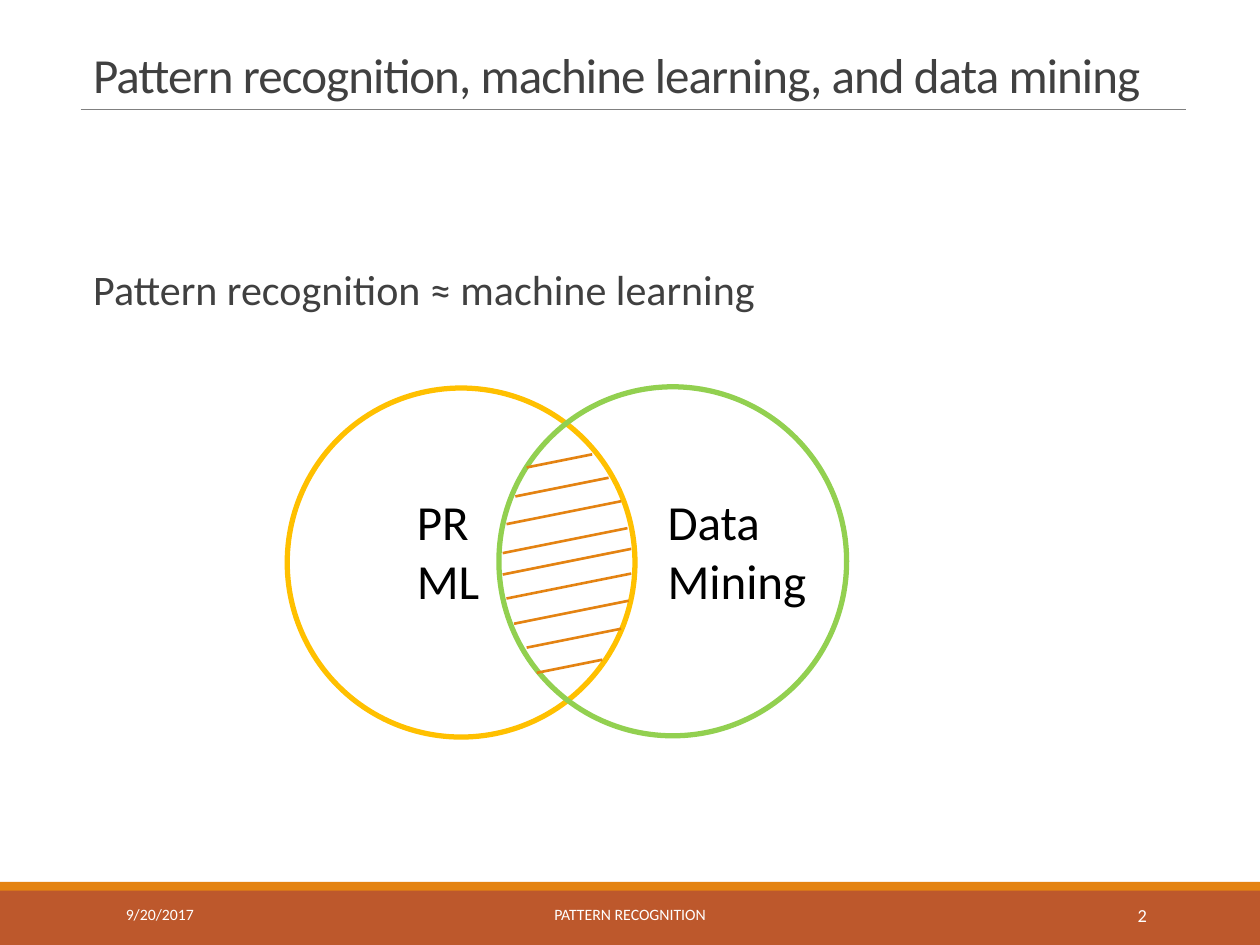
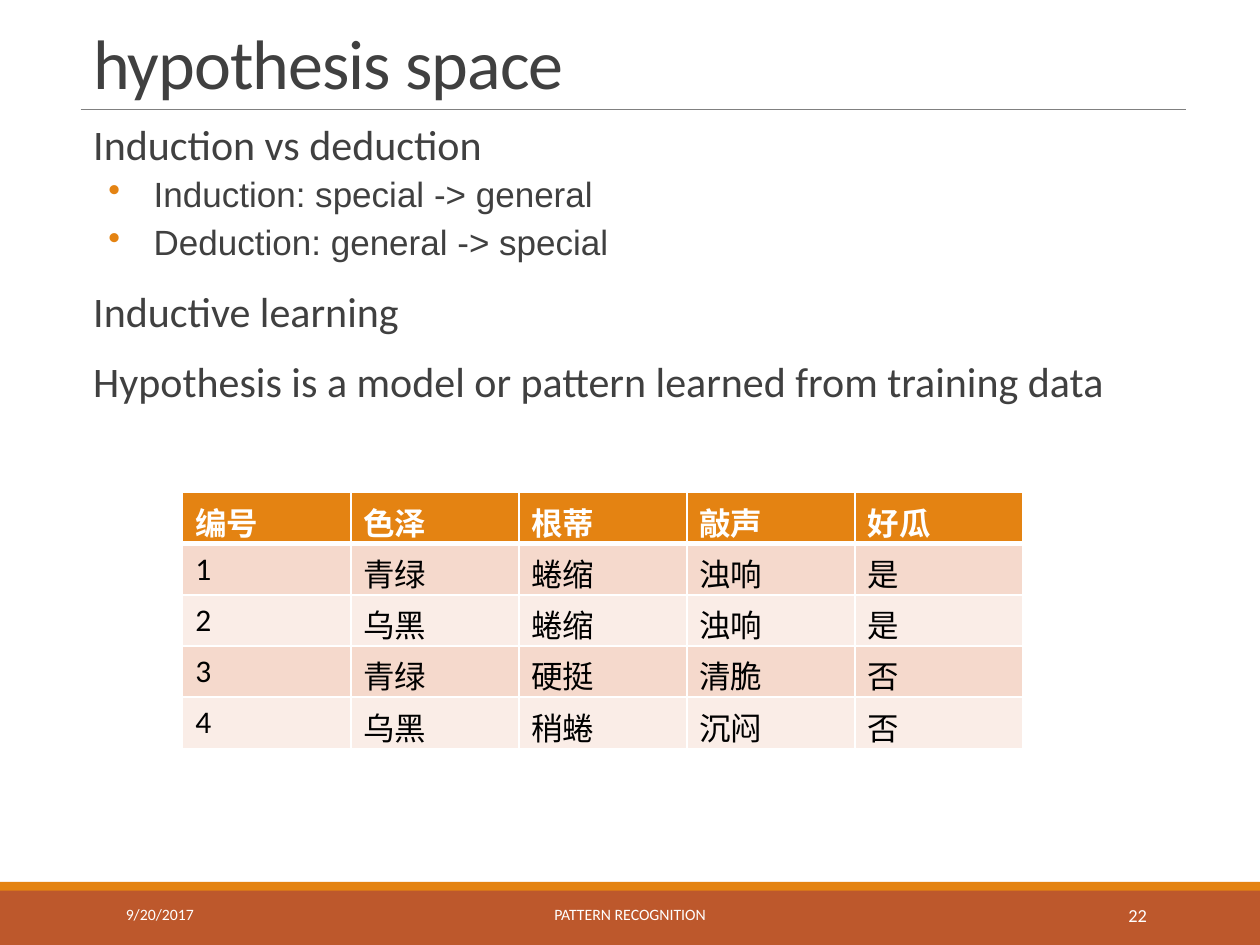
import pptx
import pptx.util
import pptx.dml.color
import pptx.enum.shapes
import pptx.enum.text
import pptx.oxml
import pptx.oxml.ns
from pptx.util import Inches, Pt

RGBColor = pptx.dml.color.RGBColor
SHAPE = pptx.enum.shapes.MSO_SHAPE
STRAIGHT = pptx.enum.shapes.MSO_CONNECTOR.STRAIGHT
ALIGN = pptx.enum.text.PP_ALIGN
ANCHOR = pptx.enum.text.MSO_ANCHOR

# Content
DATE, COURSE = "9/20/2017", "PATTERN RECOGNITION"

OVERVIEW_TITLE = "Pattern recognition, machine learning, and data mining"
OVERVIEW_BODY = [(0, "Pattern recognition ≈ machine learning")]
VENN_LABELS = [  # text, left, width
    ("PR\nML", 3.21, 1.25),
    ("Data Mining", 5.2, 1.43),
]
HATCHES = [  # left end, right end, height of the left end
    (4.18, 4.7, 3.71), (4.09, 4.83, 3.94), (4.02, 4.93, 4.16),
    (3.99, 4.98, 4.39), (3.99, 5.01, 4.56), (4.02, 5.01, 4.75),
    (4.08, 4.99, 4.95), (4.18, 4.93, 5.14), (4.26, 4.78, 5.34),
]
HATCH_SLOPE = 0.2

HYPOTHESIS_TITLE = "hypothesis space"
HYPOTHESIS_BODY = [
    (0, "Induction vs deduction"),
    (1, "Induction: special -> general"),
    (1, "Deduction: general -> special"),
    (0, "Inductive learning"),
    (0, "Hypothesis is a model or pattern learned from training data"),
]
MELONS = [
    ("编号", "色泽", "根蒂", "敲声", "好瓜"),
    ("1", "青绿", "蜷缩", "浊响", "是"),
    ("2", "乌黑", "蜷缩", "浊响", "是"),
    ("3", "青绿", "硬挺", "清脆", "否"),
    ("4", "乌黑", "稍蜷", "沉闷", "否"),
]

# Style
WHITE = RGBColor(0xFF, 0xFF, 0xFF)
BLACK = RGBColor(0, 0, 0)
INK = RGBColor(0x40, 0x40, 0x40)
GREY = RGBColor(0x80, 0x80, 0x80)
ORANGE = RGBColor(0xE4, 0x83, 0x12)
RUST = RGBColor(0xBD, 0x58, 0x2C)
GOLD = RGBColor(0xFF, 0xC0, 0x00)
GREEN = RGBColor(0x92, 0xD0, 0x50)
DARK_ROW = RGBColor(0xF5, 0xD9, 0xCC)
LIGHT_ROW = RGBColor(0xFA, 0xED, 0xE7)

WIDTH, HEIGHT = 10, 7.5
MARGIN, MEASURE = 0.64, 8.77
RULE_Y, BODY_TOP, BODY_BOTTOM = 0.87, 0.94, 6.89
BAND_TOP, STRIPE = 7.06, 0.07
LEVELS = [  # font, size, left margin, hanging indent, space before, after
    ("Calibri", 24, 0.1, 0, 12, 2),
    ("Arial", 20, 0.58, -0.36, 2, 4),
]


def style(font, size, color, name="Calibri", bold=False):
    font.name, font.size, font.bold = name, Pt(size), bold
    font.color.rgb = color


def add_text(shapes, text, left, top, width, height, size, color,
             align=ALIGN.LEFT, anchor=ANCHOR.TOP):
    box = shapes.add_textbox(*map(Inches, (left, top, width, height)))
    frame = box.text_frame
    frame.word_wrap, frame.vertical_anchor = True, anchor
    frame.text = text
    for para in frame.paragraphs:
        para.alignment = align
        for span in para.runs:
            style(span.font, size, color)
    return box


def add_shape(shapes, kind, left, top, width, height, fill=None, line=None):
    shape = shapes.add_shape(kind, *map(Inches, (left, top, width, height)))
    shape.shadow.inherit = False
    if fill is None:
        shape.fill.background()
    else:
        shape.fill.solid()
        shape.fill.fore_color.rgb = fill
    if line is None:
        shape.line.fill.background()
    else:
        shape.line.color.rgb, shape.line.width = line, Pt(3)


def add_line(shapes, start, end, color, weight):
    line = shapes.add_connector(STRAIGHT, *map(Inches, start + end))
    line.line.color.rgb, line.line.width = color, Pt(weight)
    pptx.oxml.ns.qn("a:effectLst")
    line.element.spPr.append(pptx.oxml.parse_xml(
        f'<a:effectLst {pptx.oxml.ns.nsdecls("a")}/>'))


def add_bullet(para):
    for tag in (f'buClr %s><a:srgbClr val="{ORANGE}"/></a:buClr>',
                'buChar %s char="•"/>'):
        para._p.get_or_add_pPr().append(pptx.oxml.parse_xml(
            "<a:" + tag % pptx.oxml.ns.nsdecls("a")))


# Shared frame: bands, rule, title and footer
def add_page(deck, title, title_size, number):
    page = deck.slides.add_slide(deck.slide_layouts[6])
    shapes = page.shapes
    add_shape(shapes, SHAPE.RECTANGLE, 0, BAND_TOP, WIDTH, HEIGHT - BAND_TOP, RUST)
    add_shape(shapes, SHAPE.RECTANGLE, 0, BAND_TOP - STRIPE + 0.01, WIDTH, STRIPE, ORANGE)
    add_line(shapes, (MARGIN, RULE_Y), (MARGIN + MEASURE, RULE_Y), GREY, 0.5)
    heading = add_text(shapes, title, MARGIN, 0.13, MEASURE, RULE_Y - 0.13,
                       title_size, INK, anchor=ANCHOR.BOTTOM)
    para = heading.text_frame.paragraphs[0]
    para.line_spacing = 0.85
    para.runs[0].font._element.set("spc", "-50")
    for text, left, width, size, align in [
            (DATE, 0.9, 2.03, 9, ALIGN.LEFT),
            (COURSE, 3.02, 3.96, 9, ALIGN.CENTER),
            (str(number), 8.12, 1.08, 10.5, ALIGN.RIGHT)]:
        add_text(shapes, text, left, BAND_TOP, width, 0.4, size, WHITE,
                 align, ANCHOR.MIDDLE)
    return page


def add_body(page, lines, top=BODY_TOP):
    box = add_text(page.shapes, "\n".join(text for _, text in lines),
                   MARGIN, top, MEASURE, BODY_BOTTOM - top, 24, INK)
    frame = box.text_frame
    frame.margin_left = frame.margin_right = 0
    for index, (para, (level, _)) in enumerate(zip(frame.paragraphs, lines)):
        name, size, margin, indent, before, after = LEVELS[level]
        properties = para._p.get_or_add_pPr()
        properties.set("marL", str(Inches(margin)))
        properties.set("indent", str(Inches(indent)))
        para.level, para.line_spacing = level, 0.9
        para.space_before, para.space_after = Pt(before if index else 0), Pt(after)
        if level:
            add_bullet(para)
        style(para.runs[0].font, size, INK, name)


def add_venn(page):
    shapes = page.shapes.add_group_shape().shapes
    for left, top, color in [(2.28, 3.08, GOLD), (3.96, 3.07, GREEN)]:
        add_shape(shapes, SHAPE.OVAL, left, top, 2.76, 2.77, line=color)
    for text, left, width in VENN_LABELS:
        add_text(shapes, text, left, 3.85, width, 1.04, 28, BLACK)
    for left, right, y in HATCHES:
        add_line(shapes, (left, y), (right, y - HATCH_SLOPE * (right - left)),
                 ORANGE, 1.5)


def add_borders(cell, bottom):
    for side, weight in [("L", 1), ("R", 1), ("T", 1), ("B", bottom)]:
        cell._tc.get_or_add_tcPr().append(pptx.oxml.parse_xml(
            f'<a:ln{side} {pptx.oxml.ns.nsdecls("a")} w="{Pt(weight)}">'
            f'<a:solidFill><a:srgbClr val="{WHITE}"/></a:solidFill></a:ln{side}>'))


def add_melon_table(page):
    rows, columns = len(MELONS), len(MELONS[0])
    table = page.shapes.add_table(
        rows, columns, *map(Inches, (1.45, 3.91, 6.67, 2.03))).table
    for r, record in enumerate(MELONS):
        header = r == 0
        for c, text in enumerate(record):
            cell = table.cell(r, c)
            cell.text = text
            add_borders(cell, 3 if header else 1)
            cell.fill.solid()
            cell.fill.fore_color.rgb = (
                ORANGE if header else DARK_ROW if r % 2 else LIGHT_ROW)
            style(cell.text_frame.paragraphs[0].runs[0].font, 18,
                  WHITE if header else BLACK, bold=header)


def main():
    deck = pptx.Presentation()
    deck.slide_width, deck.slide_height = Inches(WIDTH), Inches(HEIGHT)

    # Overview
    page = add_page(deck, OVERVIEW_TITLE, 28, 2)
    add_body(page, OVERVIEW_BODY, top=2.09)
    add_venn(page)

    # Hypothesis space
    page = add_page(deck, HYPOTHESIS_TITLE, 40, 22)
    add_body(page, HYPOTHESIS_BODY)
    add_melon_table(page)

    deck.save("out.pptx")


if __name__ == "__main__":
    main()
